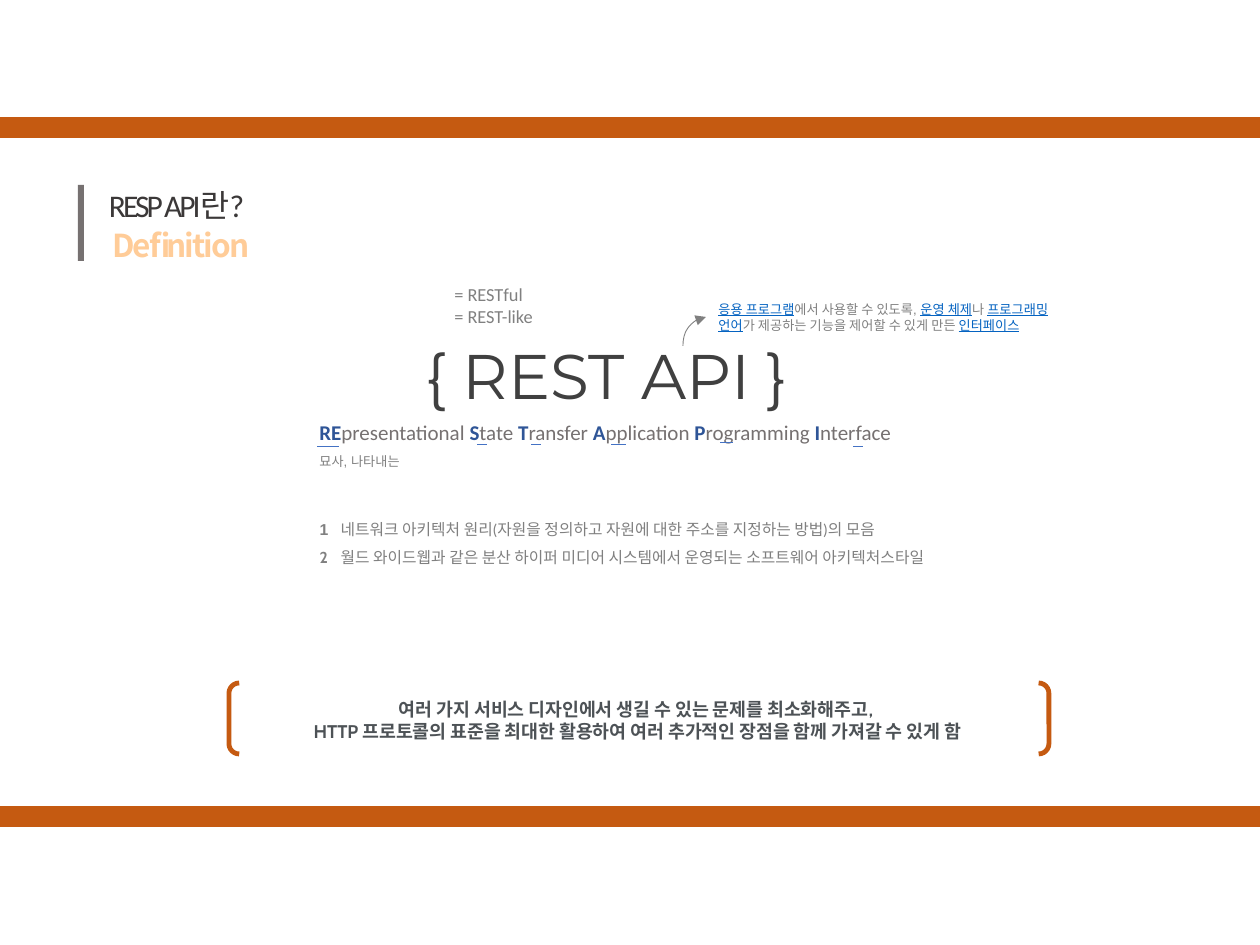
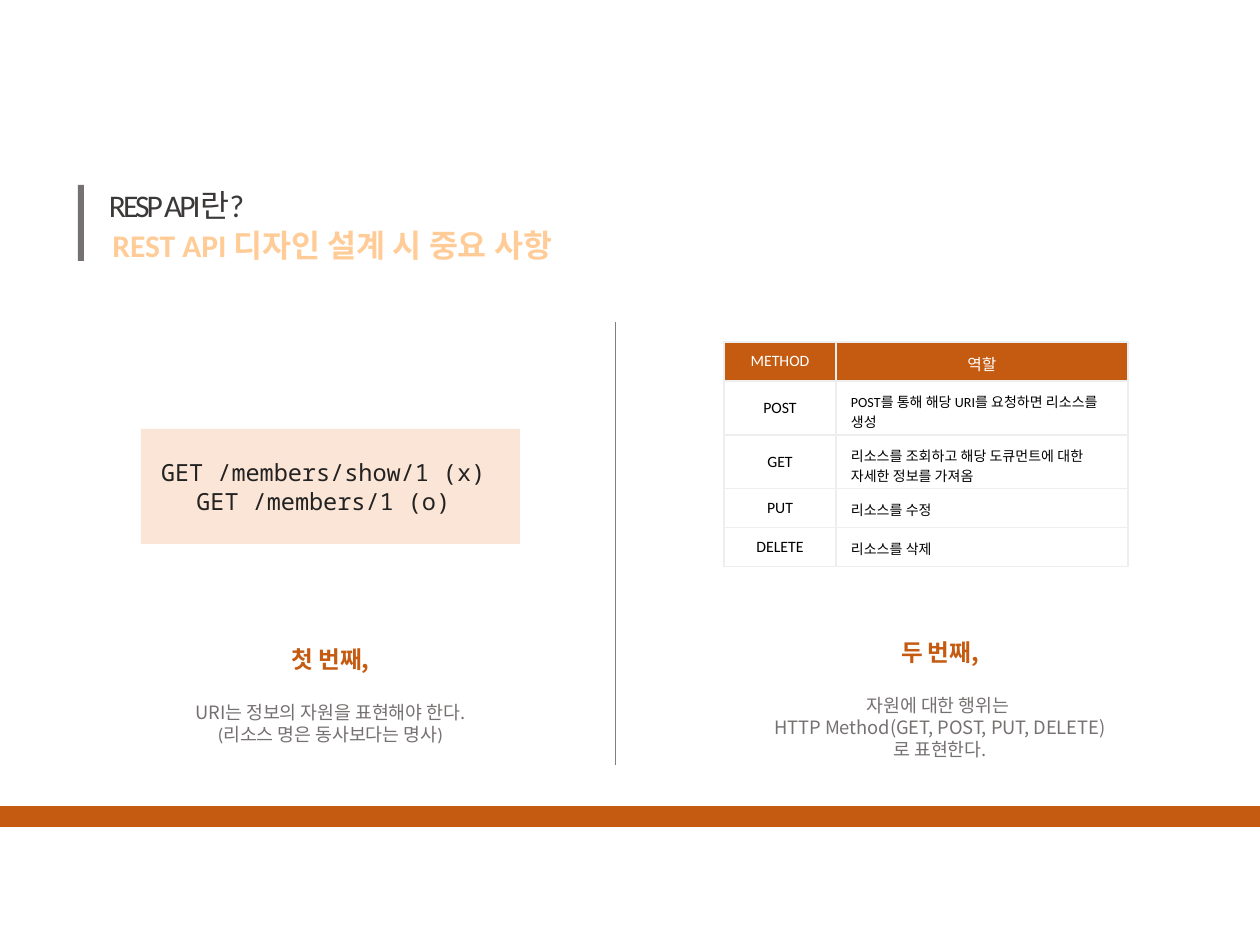
from lxml.etree import SubElement as Sub
from pptx import Presentation
from pptx.dml.color import RGBColor
from pptx.enum.shapes import MSO_CONNECTOR as Conn, MSO_SHAPE as Shape
from pptx.enum.text import MSO_ANCHOR as Anchor, MSO_AUTO_SIZE as Auto, PP_ALIGN as Align
from pptx.oxml.ns import qn
from pptx.util import Emu, Pt

RUST, GRAY, DARK, PEACH = "C55A11", "808080", "767171", "FFCC98"
NAVY, BLUE, LINK, EDGE = "2F5597", "4472C4", "0563C1", "EEEEEE"
KOR = "Noto Sans CJK KR"

TITLE = "RESP API란?"
KEY = dict(color=NAVY, bold=True)
URL = dict(color=LINK, under=True)
WORDS = [("RE", "presentational "), ("S", "tate "), ("T", "ransfer "),
         ("A", "pplication "), ("P", "rogramming "), ("I", "nterface")]
MARKS = [(317, 339, 446), (477, 487, 444), (531, 541, 444),
         (611, 626, 444), (720, 733, 442), (853, 863, 446)]
POINTS = [
    [("1\t", dict(bold=True)), "네트워크 아키텍처 원리",
     ("(자원을 정의하고 자원에 대한 주소를 지정하는 방법)", dict(font="Calibri")), "의 모음"],
    [("2\t", dict(bold=True, font="Cabin")),
     ("월드 와이드웹과 같은 분산 하이퍼 미디어 시스템에서 운영되는 소프트웨어 아키텍처스타일",
      dict(font="Cabin"))],
]
NOTE = [[("응용 프로그램", URL), "에서 사용할 수 있도록, ", ("운영 체제", URL), "나 ",
         ("프로그래밍 언어", URL), "가 제공하는 기능을 제어할 수 있게 만든 ",
         ("인터페이스", URL)]]
SUM = ["여러 가지 서비스 디자인에서 생길 수 있는 문제를 최소화해주고,",
       " HTTP 프로토콜의 표준을 최대한 활용하여 여러 추가적인 장점을 함께 가져갈 수 있게 함"]
CODE = ["GET /members/show/1 (x) ", "GET /members/1 (o) "]
RULES = [
    ((173, 639, 315, 115), "첫 번째,",
     ["URI는 정보의 자원을 표현해야 한다.",
      [("(리소스 명은 동사보다는 명사)", dict(font="Calibri"))]]),
    ((724, 632, 432, 137), "두 번째,",
     ["자원에 대한 행위는 ", "HTTP Method(GET, POST, PUT, DELETE)", "로 표현한다."]),
]
METHODS = [
    ("METHOD", "역할"),
    ("POST", "POST를 통해 해당 URI를 요청하면 리소스를 생성"),
    ("GET", "리소스를 조회하고 해당 도큐먼트에 대한 자세한 정보를 가져옴"),
    ("PUT", "리소스를 수정"),
    ("DELETE", "리소스를 삭제"),
]
COLS, ROWS = (112, 292), (39, 54, 54, 39, 39)


def px(n):
    return Emu(round(n * 914400 / 126))


def rgb(code):
    return RGBColor.from_string(code)


def style(run, size=9, font="Calibri", ea="Calibri", color=GRAY, bold=False,
          under=False, track=None):
    f = run.font
    f.size, f.name, f.bold, f.underline = Pt(size), font, bold, under
    f.color.rgb = rgb(color)
    Sub(f._element, qn("a:ea")).set("typeface", ea)
    if track:
        f._element.set("spc", str(track))


def write(frame, paras, align=Align.LEFT, line=None, gap=0, **fmt):
    """Fill a frame; a paragraph is a string or a list of strings and (text, format)."""
    for i, para in enumerate(paras):
        p = frame.paragraphs[0] if i == 0 else frame.add_paragraph()
        p.alignment, p.space_before = align, Pt(gap if i else 0)
        if line:
            p.line_spacing = line
        for part in [para] if isinstance(para, str) else para:
            text, own = (part, {}) if isinstance(part, str) else part
            run = p.add_run()
            run.text = text
            style(run, **{**fmt, **own})


def label(slide, box, paras, wrap=True, **fmt):
    frame = slide.shapes.add_textbox(*map(px, box)).text_frame
    frame.word_wrap, frame.auto_size = wrap, Auto.SHAPE_TO_FIT_TEXT
    write(frame, paras, **fmt)
    return frame


def block(slide, box, fill=None, kind=Shape.RECTANGLE):
    shape = slide.shapes.add_shape(kind, *map(px, box))
    shape.shadow.inherit = False
    shape.line.fill.background()
    if fill:
        shape.fill.solid()
        shape.fill.fore_color.rgb = rgb(fill)
    else:
        shape.fill.background()
    return shape


def rule(slide, ends, color, kind=Conn.STRAIGHT):
    line = slide.shapes.add_connector(kind, *map(px, ends))
    line.line.color.rgb, line.line.width = rgb(color), Pt(0.5)
    Sub(line.element.spPr, qn("a:effectLst"))
    return line


def arrow(slide, ends):
    """Quarter-turn curve that leaves upwards and ends to the right."""
    line = rule(slide, ends, GRAY, Conn.CURVE)
    props = line.element.spPr
    props.find(qn("a:xfrm")).set("rot", "5400000")
    props.find(qn("a:prstGeom")).set("prst", "curvedConnector2")
    Sub(props.find(qn("a:ln")), qn("a:tailEnd")).set("type", "triangle")


def band(slide, top):
    block(slide, (0, top, 1260, 21), RUST)


def place(holder, box):
    holder.left, holder.top, holder.width, holder.height = map(px, box)
    holder.text_frame.auto_size = Auto.NONE
    return holder.text_frame


def start(deck, layout, sub, width, **fmt):
    slide = deck.slides.add_slide(deck.slide_layouts[layout])
    frame = place(slide.shapes.title, (100, 169, 282, 76))
    frame.margin_left = frame.margin_right = px(9)
    frame.margin_top = frame.margin_bottom = px(5)
    frame.vertical_anchor = Anchor.MIDDLE
    write(frame, [TITLE], size=18, color="3B3838", track=-170, line=0.9)
    block(slide, (78, 185, 6, 76), DARK)
    label(slide, (100, 220, width, 50), [sub], size=18, color=PEACH, bold=True, **fmt)
    band(slide, 806)
    return slide


def define(deck):
    slide = start(deck, 1, "Definition", 309, font=KOR, track=-110, line=Pt(21.6))
    band(slide, 117)
    label(slide, (413, 330, 446, 89), ["{ REST API }"], wrap=False,
          size=36, font="Montserrat", color="404040")
    words = [part for head, rest in WORDS for part in ((head, KEY), rest)]
    label(slide, (307, 413, 602, 38), [words], wrap=False, size=12, color=DARK)
    for left, right, y in MARKS:
        rule(slide, (right, y, left, y), BLUE)
    label(slide, (307, 447, 112, 29), ["묘사, 나타내는"], wrap=False, size=7.5, font="Arial")
    label(slide, (442, 277, 107, 57), ["= RESTful", "= REST-like"], wrap=False, size=10.5)

    frame = place(slide.placeholders[1], (307, 513, 690, 66))
    write(frame, POINTS, font="Arial", gap=5.5)
    for p in frame.paragraphs:
        props = p._p.get_or_add_pPr()
        props.set("marL", str(px(21)))
        props.set("indent", str(-px(21)))
        Sub(props, qn("a:buNone"))

    label(slide, (242, 692, 788, 57), SUM, align=Align.CENTER,
          size=10.5, font="Cabin", color="4D5256", bold=True)
    frame = block(slide, (229, 683, 820, 71), kind=Shape.DOUBLE_BRACKET)
    frame.adjustments[0] = 0.145
    frame.line.color.rgb, frame.line.width = rgb(RUST), Pt(2.75)
    label(slide, (706, 295, 387, 44), NOTE, size=7.5, font="Arial")
    arrow(slide, (709, 343, 680, 320))


def edge(cell):
    props = cell._tc.get_or_add_tcPr()
    for i, side in enumerate(("lnL", "lnR", "lnT", "lnB")):
        line = props.makeelement(qn("a:" + side), {"w": "9525"})
        Sub(Sub(line, qn("a:solidFill")), qn("a:srgbClr")).set("val", EDGE)
        props.insert(i, line)


def grid(slide):
    table = slide.shapes.add_table(len(ROWS), len(COLS), px(724), px(342),
                                   px(sum(COLS)), px(sum(ROWS))).table
    for col, width in zip(table.columns, COLS):
        col.width = px(width)
    for r, (row, high) in enumerate(zip(METHODS, ROWS)):
        table.rows[r].height = px(high)
        for c, text in enumerate(row):
            cell, plain = table.cell(r, c), r > 0 and c > 0
            cell.margin_left = cell.margin_right = px(15)
            cell.margin_top = cell.margin_bottom = px(10)
            cell.vertical_anchor = Anchor.MIDDLE
            cell.fill.solid()
            cell.fill.fore_color.rgb = rgb("FFFFFF" if r else RUST)
            edge(cell)
            write(cell.text_frame, [text], size=8 if plain else 9, ea=KOR,
                  align=Align.LEFT if plain else Align.CENTER,
                  color="000000" if r else "FFFFFF")


def design(deck):
    slide = start(deck, 5, "REST API 디자인 설계 시 중요 사항", 551)
    for box, head, lines in RULES:
        frame = label(slide, box, [[(head, dict(size=13.5, color=RUST, bold=True))], *lines],
                      align=Align.CENTER, size=10.5, font=KOR, color=DARK, line=Pt(12.6))
        frame.paragraphs[0].line_spacing = Pt(16)
        frame.paragraphs[1].space_before = Pt(16)
    rule(slide, (615, 322, 615, 765), GRAY)
    grid(slide)
    frame = block(slide, (141, 429, 379, 115), "FBE5D6").text_frame
    frame.margin_left = frame.margin_right = frame.margin_top = frame.margin_bottom = 0
    frame.vertical_anchor = Anchor.MIDDLE
    write(frame, CODE, align=Align.CENTER, size=13.5, font="Noto Sans Mono", color="222222")


def main():
    deck = Presentation()
    deck.slide_width, deck.slide_height = px(1260), px(945)
    define(deck)
    design(deck)
    deck.save("out.pptx")


if __name__ == "__main__":
    main()
